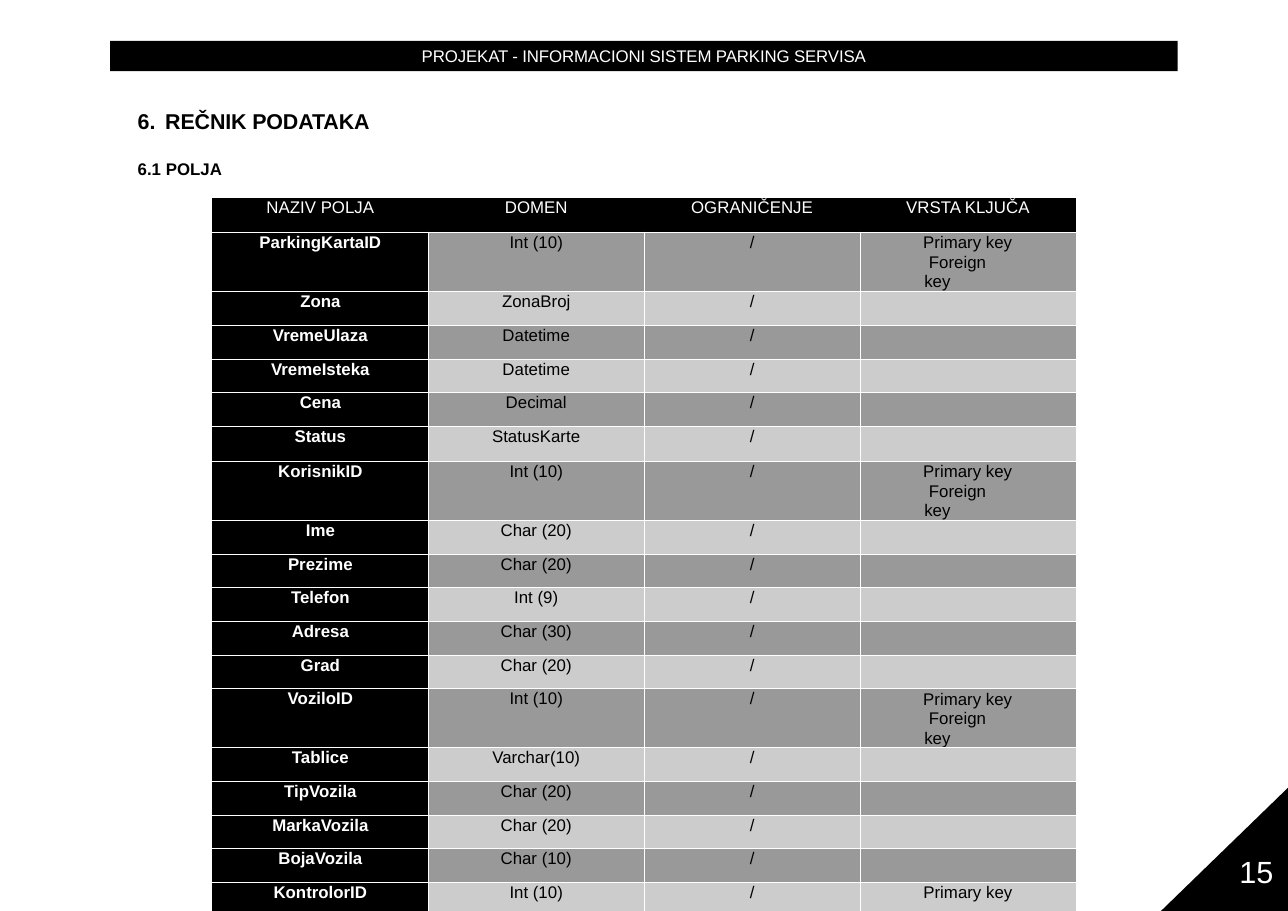
from pptx import Presentation
from pptx.dml.color import RGBColor
from pptx.enum.shapes import MSO_SHAPE
from pptx.enum.text import MSO_ANCHOR, MSO_AUTO_SIZE, PP_ALIGN
from pptx.oxml.ns import qn
from pptx.util import Pt
from lxml import etree

LEFT, CENTER = PP_ALIGN.LEFT, PP_ALIGN.CENTER
TOP, NO_RESIZE = MSO_ANCHOR.TOP, MSO_AUTO_SIZE.NONE
RECTANGLE = MSO_SHAPE.RECTANGLE

BLACK, WHITE, DARK_GREY, LIGHT_GREY = "000000", "FFFFFF", "999999", "CCCCCC"
SLIDE_WIDTH, SLIDE_HEIGHT = 841.9, 595.3
THIN, THICK = 0.5, 0.75

COLUMN_NAMES = ["NAZIV POLJA", "DOMEN", "OGRANIČENJE", "VRSTA KLJUČA"]
PRIMARY, BOTH_KEYS = "Primary key", "Primary key  Foreign key"
FIELDS = [
    ("ParkingKartaID", "Int (10)", BOTH_KEYS),
    ("Zona", "ZonaBroj", ""),
    ("VremeUlaza", "Datetime", ""),
    ("VremeIsteka", "Datetime", ""),
    ("Cena", "Decimal", ""),
    ("Status", "StatusKarte", ""),
    ("KorisnikID", "Int (10)", BOTH_KEYS),
    ("Ime", "Char (20)", ""),
    ("Prezime", "Char (20)", ""),
    ("Telefon", "Int (9)", ""),
    ("Adresa", "Char (30)", ""),
    ("Grad", "Char (20)", ""),
    ("VoziloID", "Int (10)", BOTH_KEYS),
    ("Tablice", "Varchar(10)", ""),
    ("TipVozila", "Char (20)", ""),
    ("MarkaVozila", "Char (20)", ""),
    ("BojaVozila", "Char (10)", ""),
    ("KontrolorID", "Int (10)", PRIMARY),
]
ROW_HEIGHT = 21
TALL_ROWS = {0: 22, 1: 26, 2: 22.5, 4: 22, 6: 22.8, 7: 26, 13: 26}
THICK_BELOW = {4, 9, 10, 16}


def color(hex_code):
    return RGBColor.from_string(hex_code)


class SlideBuilder:
    """Holds the text style and the slide being filled."""

    font_name = "Arial"
    body_size = 11

    def __init__(self, presentation):
        self.slide = presentation.slides.add_slide(presentation.slide_layouts[5])
        self.shapes = self.slide.shapes

    def fill_text(self, text_frame, text, size=body_size, text_color=BLACK, bold=False,
                  align=LEFT, line=None, before=0, tracking=0):
        text_frame.text = text
        paragraph = text_frame.paragraphs[0]
        paragraph.alignment = align
        paragraph.space_before = Pt(before)
        if line:
            paragraph.line_spacing = Pt(line)
        for run in paragraph.runs:
            font = run.font
            font.name, font.size, font.bold = self.font_name, Pt(size), bold
            font.color.rgb = color(text_color)
            if tracking:
                run._r.get_or_add_rPr().set("spc", str(round(tracking * 100)))
        return paragraph

    def prepare_frame(self, shape, top_margin=0):
        frame = shape.text_frame
        frame.word_wrap = True
        frame.auto_size = NO_RESIZE
        frame.vertical_anchor = TOP
        frame.margin_left = frame.margin_right = frame.margin_bottom = 0
        frame.margin_top = Pt(top_margin)
        return frame

    def indent(self, paragraph, left, first_line, right=0):
        properties = paragraph._p.get_or_add_pPr()
        for name, value in (("marL", left), ("marR", right), ("indent", first_line)):
            properties.set(name, str(Pt(value)))
        return properties

    def paint(self, shape, fill):
        shape.shadow.inherit = False
        shape.fill.solid()
        shape.fill.fore_color.rgb = color(fill)
        shape.line.fill.background()

    def title(self, text, number, left, top, width, height):
        shape = self.shapes.title
        shape.left, shape.top = Pt(left), Pt(top)
        shape.width, shape.height = Pt(width), Pt(height)
        paragraph = self.fill_text(self.prepare_frame(shape, 0.7), text, size=14, bold=True,
                                   before=1, tracking=-0.1)
        properties = self.indent(paragraph, 18.7, -18)
        etree.SubElement(properties, qn("a:buAutoNum"), type="arabicPeriod",
                         startAt=str(number))

    def bar(self, text, left, top, width, height):
        shape = self.shapes.add_shape(RECTANGLE, Pt(left), Pt(top), Pt(width), Pt(height))
        self.paint(shape, BLACK)
        self.fill_text(self.prepare_frame(shape, 2.9), text, text_color=WHITE, align=CENTER,
                       before=2.9, tracking=-0.1)

    def polygon(self, points, fill):
        corners = [(Pt(x), Pt(y)) for x, y in points]
        builder = self.shapes.build_freeform(*corners[0])
        builder.add_line_segments(corners[1:], close=True)
        self.paint(builder.convert_to_shape(), fill)

    def label(self, text, left, top, width, height, **style):
        shape = self.shapes.add_textbox(Pt(left), Pt(top), Pt(width), Pt(height))
        return self.fill_text(self.prepare_frame(shape), text, **style)

    def border(self, cell, widths):
        """Draw the left, right, top and bottom edges; zero means no line."""
        properties = cell._tc.get_or_add_tcPr()
        for side, width in zip("LRTB", widths):
            edge = etree.SubElement(properties, qn(f"a:ln{side}"), w=str(Pt(width)))
            if width:
                fill = etree.SubElement(edge, qn("a:solidFill"))
                etree.SubElement(fill, qn("a:srgbClr"), val=WHITE)
            else:
                etree.SubElement(edge, qn("a:noFill"))

    def cell(self, cell, text, fill, widths, **style):
        self.border(cell, widths)
        cell.fill.solid()
        cell.fill.fore_color.rgb = color(fill)
        cell.vertical_anchor = TOP
        cell.margin_left = cell.margin_right = cell.margin_top = cell.margin_bottom = 0
        if text == BOTH_KEYS:
            cell.margin_top = Pt(0.5)
            paragraph = self.fill_text(cell.text_frame, text, line=12.7, before=0.4, **style)
            self.indent(paragraph, 42, -0.7, right=40)
        elif text:
            self.fill_text(cell.text_frame, text, align=CENTER, **style)

    def field_table(self, left, top, column_width):
        rows = [COLUMN_NAMES] + [(name, domain, "/", key) for name, domain, key in FIELDS]
        heights = [TALL_ROWS.get(row, ROW_HEIGHT) for row in range(len(rows))]
        columns = len(COLUMN_NAMES)
        table = self.shapes.add_table(len(rows), columns, Pt(left), Pt(top),
                                      Pt(column_width * columns), Pt(sum(heights))).table
        table.horz_banding = False
        for column in table.columns:
            column.width = Pt(column_width)
        for r, values in enumerate(rows):
            table.rows[r].height = Pt(heights[r])
            above = (THICK if r - 1 in THICK_BELOW else THIN) if r else 0
            below = THICK if r in THICK_BELOW else THIN
            if r == len(rows) - 1:
                below = 0
            for c, value in enumerate(values):
                black_cell = r == 0 or c == 0
                fill = BLACK if black_cell else (DARK_GREY if r % 2 else LIGHT_GREY)
                widths = (THIN if r and c else 0,
                          THIN if r and c < columns - 1 else 0, above, below)
                style = {"text_color": WHITE if black_cell else BLACK,
                         "bold": r > 0 and c == 0}
                if value != BOTH_KEYS:
                    style["line"] = 12.8 if r else 12.5
                self.cell(table.cell(r, c), value, fill, widths, **style)


def main():
    presentation = Presentation()
    presentation.slide_width, presentation.slide_height = Pt(SLIDE_WIDTH), Pt(SLIDE_HEIGHT)
    builder = SlideBuilder(presentation)

    # Running header and page corner
    builder.bar("PROJEKAT - INFORMACIONI SISTEM PARKING SERVISA", 72, 26.7, 697.7, 19.9)
    builder.polygon([(SLIDE_WIDTH, 514.8), (758.9, SLIDE_HEIGHT),
                     (SLIDE_WIDTH, SLIDE_HEIGHT)], BLACK)

    # Section headings
    builder.title("REČNIK PODATAKA", 6, 89.3, 70, 200, 20)
    builder.label("6.1 POLJA", 90, 104, 157, 13, bold=True)

    # Page number
    page_number = builder.label("15", 807.1, 558, 28, 24.5, size=20, text_color=WHITE,
                                line=23.1)
    builder.indent(page_number, 3, 0)

    # Data dictionary
    builder.field_table(138.9, 129.6, 141.1)

    presentation.save("out.pptx")


if __name__ == "__main__":
    main()
